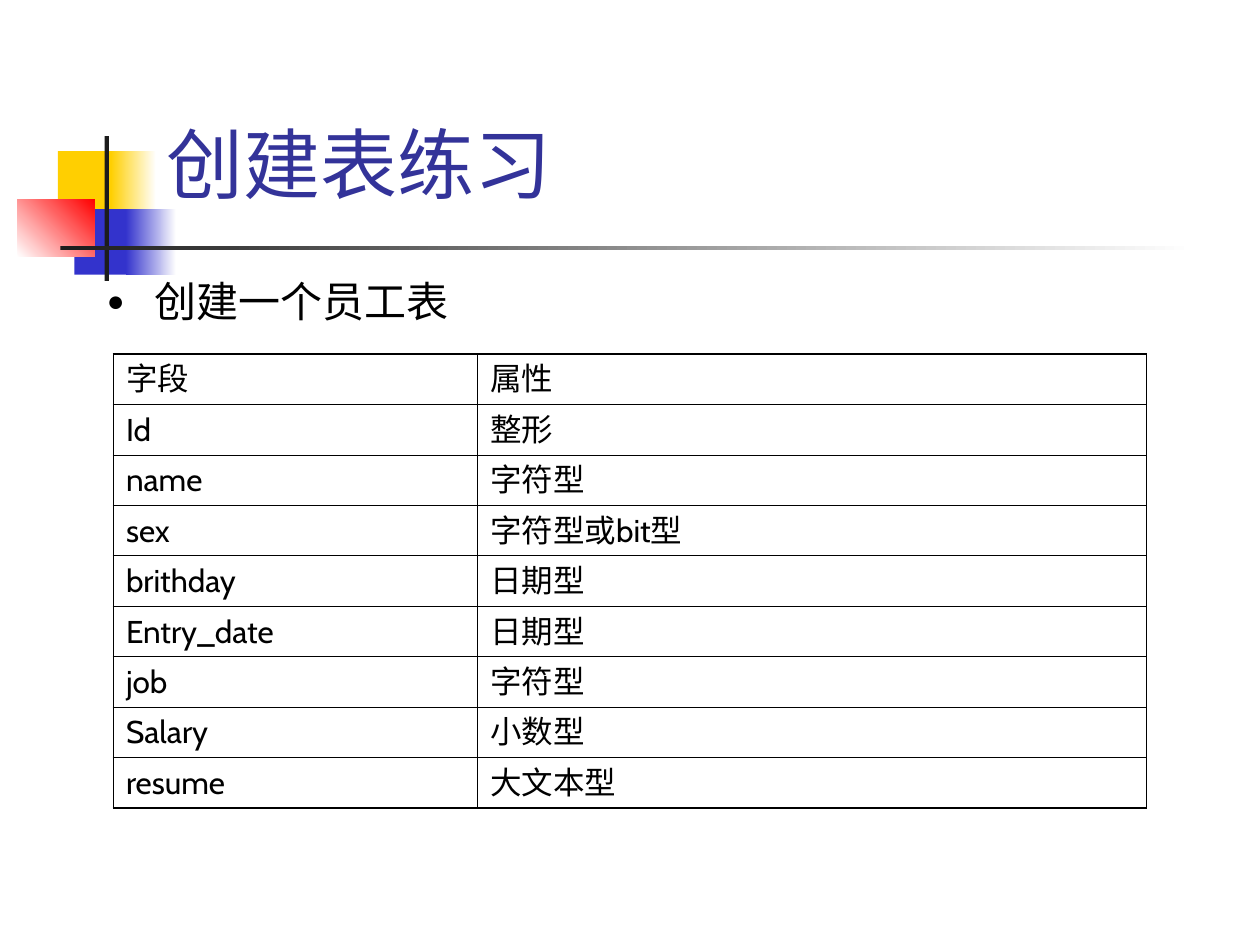
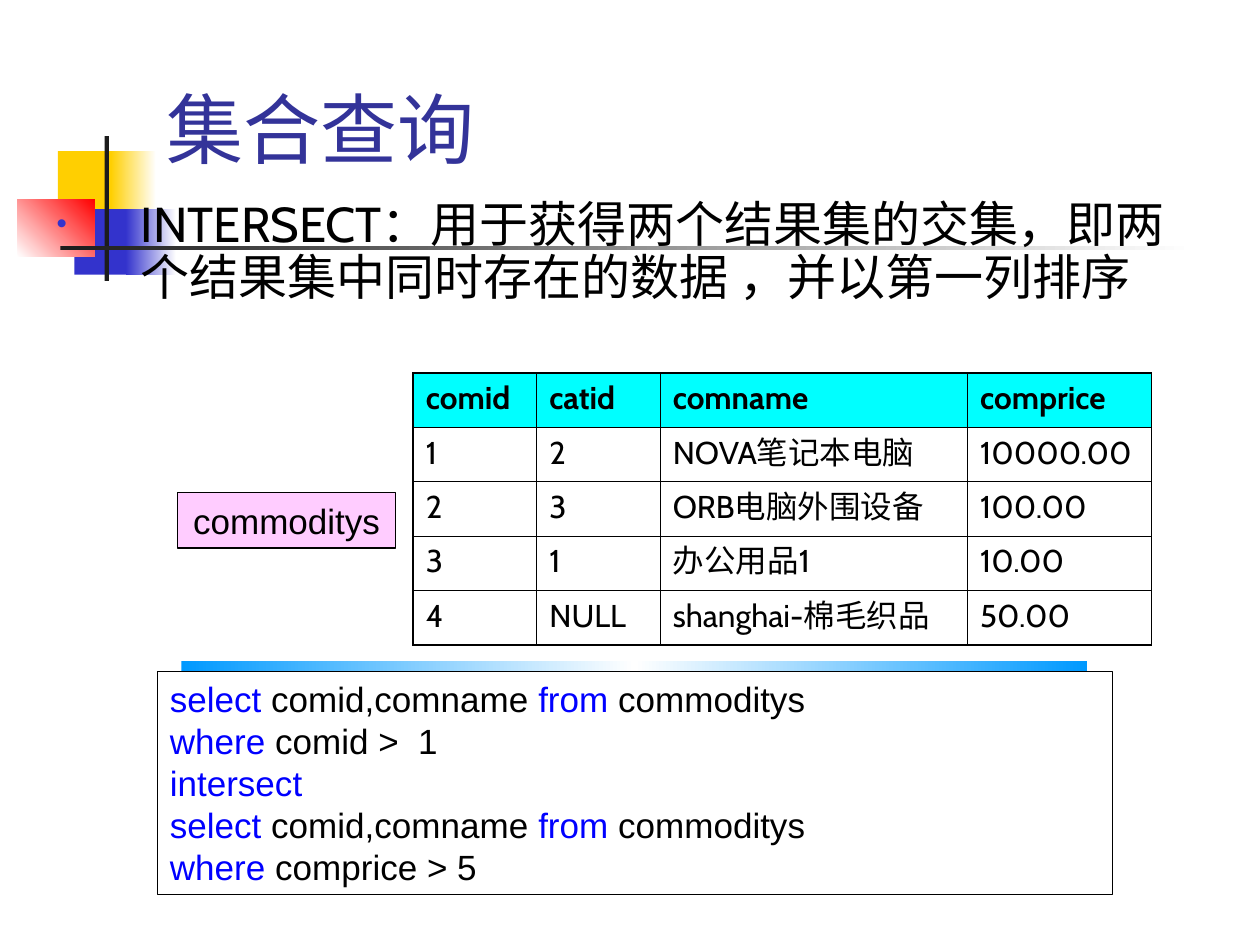
from copy import deepcopy
from dataclasses import dataclass

from lxml import etree
from pptx import Presentation
from pptx.dml.color import RGBColor
from pptx.enum.shapes import MSO_SHAPE
from pptx.enum.text import MSO_ANCHOR, PP_ALIGN
from pptx.oxml.ns import qn
from pptx.util import Inches, Pt

RECT = MSO_SHAPE.RECTANGLE
TOP, MIDDLE, BOTTOM = MSO_ANCHOR.TOP, MSO_ANCHOR.MIDDLE, MSO_ANCHOR.BOTTOM
LEFT, CENTER = PP_ALIGN.LEFT, PP_ALIGN.CENTER
COLS, ROWS = 100, 75
UNIT = Inches(0.1)
TITLE_ONLY = 5


@dataclass(frozen=True)
class Theme:
    ink: str = "000000"
    bar: str = "1C1C1C"
    paper: str = "FFFFFF"
    title: str = "333399"
    gold: str = "FFCF01"
    blue: str = "3333CC"
    red: str = "FF0000"
    sky: str = "0099FF"
    cyan: str = "00FFFF"
    pink: str = "FFCCFF"
    word: str = "0000FF"
    sans: str = "Arial"
    body: str = "Cabin"
    han: str = "Noto Sans CJK SC"
    huge: int = 44
    lead: int = 28
    item: int = 24
    code: int = 20
    cell: int = 18
    thick: float = 1.08
    thin: float = 0.45
    edge: float = 0.75


T = Theme()

FIELDS = [
    ("字段", "属性"),
    ("Id", "整形"),
    ("name", "字符型"),
    ("sex", "字符型或bit型"),
    ("brithday", "日期型"),
    ("Entry_date", "日期型"),
    ("job", "字符型"),
    ("Salary", "小数型"),
    ("resume", "大文本型"),
]
GOODS = [
    ("comid", "catid", "comname", "comprice"),
    ("1", "2", "NOVA笔记本电脑", "10000.00"),
    ("2", "3", "ORB电脑外围设备", "100.00"),
    ("3", "1", "办公用品1", "10.00"),
    ("4", "NULL", "shanghai-棉毛织品", "50.00"),
]
QUERY = [
    "select comid,comname from commoditys",
    "where comid >  1",
    "intersect",
    "select comid,comname from commoditys",
    "where comprice > 5",
]
KEYS = {"select", "from", "where", "intersect"}


def rgb(hue):
    return RGBColor.from_string(hue)


def grid(*cells):
    return [round(cell * UNIT) for cell in cells]


def apply(thing, **values):
    for name, value in values.items():
        setattr(thing, name, value)


def write(para, text, size, face=T.body, hue=T.ink, bold=False):
    run = para.add_run()
    run.text = text
    apply(run.font, name=face, size=Pt(size), bold=bold)
    run.font.color.rgb = rgb(hue)
    latin = run.font._element.find(qn("a:latin"))
    east = etree.Element(qn("a:ea"), typeface=face)
    latin.addnext(east)


def shade(shape, hues, angle):
    fill = shape.fill
    fill.gradient()
    fill.gradient_angle = angle
    stops = shape._element.find(".//" + qn("a:gsLst"))
    while len(stops) < len(hues):
        stops.append(deepcopy(stops[-1]))
    for i, (stop, hue) in enumerate(zip(fill.gradient_stops, hues)):
        stop.position = i / (len(hues) - 1)
        stop.color.rgb = rgb(hue)


def block(slide, at, *hues, angle=0, line=None):
    shape = slide.shapes.add_shape(RECT, *grid(*at))
    shape.shadow.inherit = False
    if len(hues) > 1:
        shade(shape, hues, angle)
    else:
        shape.fill.solid()
        shape.fill.fore_color.rgb = rgb(hues[0])
    if line:
        shape.line.color.rgb = rgb(line)
        shape.line.width = Pt(T.edge)
    else:
        shape.line.fill.background()
    return shape


def motif(slide, layout):
    start = len(slide.shapes)
    block(slide, (4.6, 12, 4.8, 5.2), T.gold)
    block(slide, (8.8, 12, 3.6, 5.2), T.gold, T.paper)
    block(slide, (5.9, 16.6, 4.6, 5.2), T.blue)
    block(slide, (10, 16.6, 4, 5.2), T.blue, T.paper)
    block(slide, (1.4, 15.8, 6.1, 4.6), T.paper, T.red, angle=45)
    block(slide, (8.3, 10.8, 0.35, 11.5), T.bar)
    block(slide, (4.8, 19.5, 90, 0.35), T.bar, T.paper)
    for i, shape in enumerate(list(slide.shapes)[start:]):
        node = shape._element
        node.nvSpPr.cNvPr.set("id", str(50 + i))
        layout.shapes._spTree.insert(2 + i, node)


def head(slide, text, at, face):
    title = slide.shapes.title
    apply(title, **dict(zip(("left", "top", "width", "height"), grid(*at))))
    frame = title.text_frame
    apply(frame, vertical_anchor=BOTTOM, word_wrap=True)
    para = frame.paragraphs[0]
    para.alignment = LEFT
    write(para, text, T.huge, face, T.title)


def bullet(slide, text, at, mark, share, hue, indent, size, face):
    frame = slide.shapes.add_textbox(*grid(*at)).text_frame
    frame.word_wrap = True
    para = frame.paragraphs[0]
    props = para._p.get_or_add_pPr()
    gap = round(indent * UNIT)
    props.set("marL", str(gap))
    props.set("indent", str(-gap))
    tint = etree.SubElement(props, qn("a:buClr"))
    etree.SubElement(tint, qn("a:srgbClr"), val=hue)
    etree.SubElement(props, qn("a:buSzPct"), val=str(share * 1000))
    etree.SubElement(props, qn("a:buFont"), typeface=T.sans)
    etree.SubElement(props, qn("a:buChar"), char=mark)
    para.line_spacing = 0.9
    write(para, text, size, face)


def border(cell, outer):
    props = cell._tc.get_or_add_tcPr()
    for i, side in enumerate("LRTB"):
        width = T.thick if side in outer else T.thin
        line = etree.Element(qn(f"a:ln{side}"), w=str(Pt(width)))
        fill = etree.SubElement(line, qn("a:solidFill"))
        etree.SubElement(fill, qn("a:srgbClr"), val=T.ink)
        props.insert(i, line)


def table(slide, data, at, widths, high, top=None):
    rows, cols = len(data), len(widths)
    size = grid(*at, sum(widths), high * rows)
    grid_table = slide.shapes.add_table(rows, cols, *size).table
    apply(grid_table, first_row=False, horz_banding=False)
    for col, width in zip(grid_table.columns, grid(*widths)):
        col.width = width
    for row in grid_table.rows:
        row.height = round(high * UNIT)
    for r, line in enumerate(data):
        for c, text in enumerate(line):
            cell = grid_table.cell(r, c)
            bold = bool(top) and r == 0
            if bold:
                cell.fill.solid()
                cell.fill.fore_color.rgb = rgb(top)
            else:
                cell.fill.background()
            tests = {"L": c == 0, "R": c == cols - 1,
                     "T": r == 0, "B": r == rows - 1}
            border(cell, {side for side, hit in tests.items() if hit})
            write(cell.text_frame.paragraphs[0], text, T.cell, bold=bold)


def code(slide, lines, at):
    frame = block(slide, at, T.paper, line=T.ink).text_frame
    apply(frame, word_wrap=True, vertical_anchor=TOP)
    for i, line in enumerate(lines):
        para = frame.add_paragraph() if i else frame.paragraphs[0]
        apply(para, alignment=LEFT, line_spacing=Pt(T.code * 1.2))
        for j, word in enumerate(line.split(" ")):
            hue = T.word if word in KEYS else T.ink
            write(para, " " + word if j else word, T.code, T.sans, hue)


def label(slide, text, at):
    frame = block(slide, at, T.pink, line=T.ink).text_frame
    apply(frame, word_wrap=True, vertical_anchor=MIDDLE)
    para = frame.paragraphs[0]
    para.alignment = CENTER
    write(para, text, T.code, T.sans)


def staff(slide):
    head(slide, "创建表练习", (12.2, 8.4, 85.2, 8.7), T.han)
    bullet(slide, "创建一个员工表", (7.5, 21.8, 85.3, 4.6),
           "●", 70, T.ink, 3.8, T.item, T.sans)
    table(slide, FIELDS, (9, 28.1), (28.9, 53.1), 4)


def sets(slide):
    head(slide, "集合查询", (12.2, 3.6, 85.2, 10.7), T.body)
    bullet(slide, "INTERSECT：用于获得两个结果集的交集，即两个结果集中"
           "同时存在的数据 ，并以第一列排序", (3.5, 15.4, 92.9, 9.5),
           "•", 60, T.blue, 6.7, T.lead, T.body)
    block(slide, (14.4, 52.5, 71.9, 3.3), T.sky, T.paper, T.sky)
    code(slide, QUERY, (12.5, 53.3, 75.8, 17.7))
    table(slide, GOODS, (32.8, 29.6), (9.8, 9.8, 24.4, 14.6), 4.32, T.cyan)
    label(slide, "commoditys", (14.1, 39.1, 17.3, 4.4))


def main():
    deck = Presentation()
    apply(deck, slide_width=COLS * UNIT, slide_height=ROWS * UNIT)
    layout = deck.slide_layouts[TITLE_ONLY]
    first, second = [deck.slides.add_slide(layout) for _ in range(2)]
    motif(first, layout)
    staff(first)
    sets(second)
    deck.save("out.pptx")


if __name__ == "__main__":
    main()
